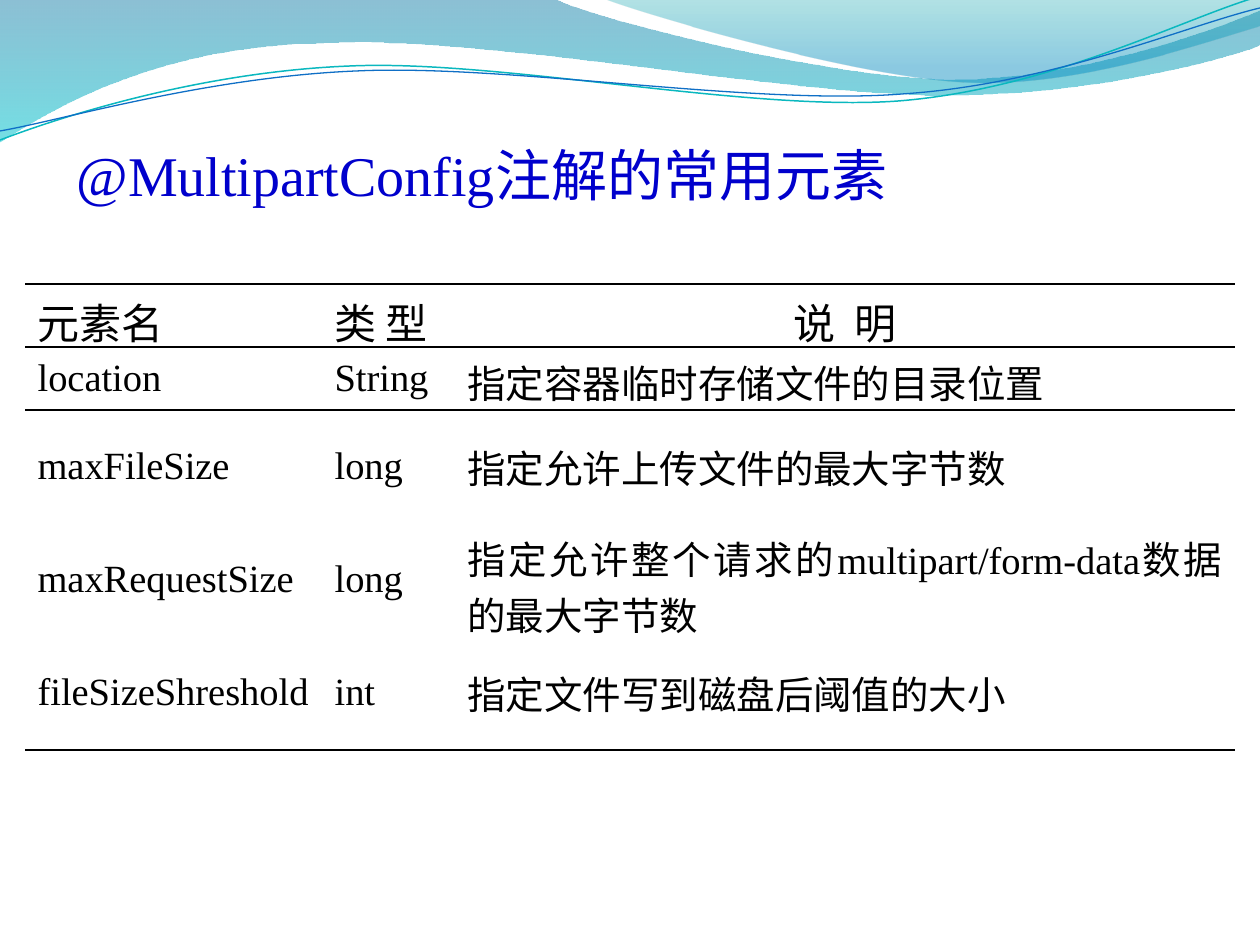
from dataclasses import dataclass

from lxml.etree import SubElement
from pptx import Presentation
from pptx.dml.color import RGBColor
from pptx.enum.text import MSO_ANCHOR as Anchor, MSO_AUTO_SIZE as AutoSize, PP_ALIGN as Align
from pptx.oxml.ns import qn
from pptx.util import Pt

PIXEL = 914400 / 126
PLAIN_TABLE = "{2D5ABB26-0587-4C30-8999-92F81FD0307C}"


@dataclass(frozen=True)
class Theme:
    """Colours, fonts and type sizes of the slide."""
    title: str = "0000CC"
    ink: str = "000000"
    latin: str = "Times New Roman"
    title_asian: str = "Courier New"
    title_size: int = 32
    title_leading: float = 38.5
    header_size: int = 24
    body_size: int = 22
    rule: float = 1
    band: tuple = ((0, "0074A1", 45), (100, "00C6CF", 55))
    crest: tuple = ((0, "00A1A9", 30), (80, "008BBF", 45))
    teal_line: tuple = ("0AB8BF", 0.85)
    blue_line: tuple = ("0F6FC6", 0.75)


THEME = Theme()
PAGE = (0, 0, 1260, 945)
TITLE_BOX = (64, 134, 844, 81)
TABLE_BOX = (25, 284, 1210, 466)
COLUMNS = (297, 133, 780)
ROWS = (63, 63, 113, 113, 114)
BOTTOM_MARGINS = (-6, 0, 6, -7, 6)

BAND = [
    (0, 0), (554, -1), (600, 21, 837, 79, 955, 79), (1075, 79, 1207, 33, 1260, 11),
    (1261, 45), (1239, 55, 1096, 96, 940, 95), (784, 95, 481, 35, 324, 43),
    (163, 45, 58, 105, -1, 142),
]
CREST = [
    (604, -1), (641, 14, 859, 78, 969, 82), (1079, 87, 1211, 40, 1260, 26), (1260, 0),
]
TEAL_WAVE = [
    (0, 140), (60, 117, 199, 72, 349, 66), (498, 59, 747, 112, 898, 101),
    (1050, 89, 1182, 19, 1257, -3),
]
BLUE_WAVE = [
    (0, 131), (59, 121, 207, 77, 357, 71), (508, 64, 752, 106, 903, 94),
    (1053, 84, 1185, 26, 1260, 8),
]
ELEMENTS = [
    ("元素名", "类 型", "说  明"),
    ("location", "String", "指定容器临时存储文件的目录位置"),
    ("maxFileSize", "long", "指定允许上传文件的最大字节数"),
    ("maxRequestSize", "long", "指定允许整个请求的multipart/form-data数据的最大字节数"),
    ("fileSizeShreshold", "int", "指定文件写到磁盘后阈值的大小"),
]


def emu(pixels):
    """Turn pixels into EMU."""
    return round(pixels * PIXEL)


def apply(target, values):
    """Set every named attribute on the target."""
    for name, value in values.items():
        setattr(target, name, value)


def place(shape, box):
    """Move and size a shape to a pixel box."""
    apply(shape, dict(zip(("left", "top", "width", "height"), map(emu, box))))


def style_run(run, size, color):
    """Give a run its font, size and colour."""
    apply(run.font, {"name": THEME.latin, "size": Pt(size)})
    run.font.color.rgb = RGBColor.from_string(color)


def add_outline(slide, box, steps, close):
    """Add a freeform of lines and cubic curves relative to the box."""
    anchors = [(emu(box[0] + step[-2]), emu(box[1] + step[-1])) for step in steps]
    builder = slide.shapes.build_freeform(*anchors[0], scale=1.0)
    builder.add_line_segments(anchors[1:], close=close)
    shape = builder.convert_to_shape()
    shape.shadow.inherit = False
    segments = list(shape._element.iter(qn("a:lnTo")))
    for segment, step in zip(segments, steps[1:]):
        if len(step) == 6:
            segment.tag = qn("a:cubicBezTo")
            end = segment[0]
            for x, y in (step[:2], step[2:4]):
                SubElement(segment, qn("a:pt"), x=str(emu(box[0] + x) - shape.left),
                           y=str(emu(box[1] + y) - shape.top))
            segment.append(end)
    return shape


def fill_gradient(shape, stops):
    """Fill a shape with a translucent downward gradient."""
    shape.line.fill.background()
    shape.fill.gradient()
    gradient = shape._element.spPr.find(qn("a:gradFill"))
    for child in list(gradient):
        gradient.remove(child)
    stop_list = SubElement(gradient, qn("a:gsLst"))
    for position, color, opacity in stops:
        stop = SubElement(stop_list, qn("a:gs"), pos=str(position * 1000))
        tone = SubElement(stop, qn("a:srgbClr"), val=color)
        SubElement(tone, qn("a:alpha"), val=str(opacity * 1000))
    SubElement(gradient, qn("a:lin"), ang="5400000", scaled="0")


def add_waves(slide, box):
    """Draw the wave decoration across the top of the box."""
    for steps, stops in ((BAND, THEME.band), (CREST, THEME.crest)):
        fill_gradient(add_outline(slide, box, steps, True), stops)
    for steps, (color, width) in ((TEAL_WAVE, THEME.teal_line), (BLUE_WAVE, THEME.blue_line)):
        wave = add_outline(slide, box, steps, False)
        wave.fill.background()
        wave.line.color.rgb = RGBColor.from_string(color)
        wave.line.width = Pt(width)


def fill_title(slide, box):
    """Place and format the title."""
    title = slide.shapes.title
    place(title, box)
    apply(title.text_frame, {
        "word_wrap": True, "auto_size": AutoSize.NONE, "vertical_anchor": Anchor.MIDDLE,
    })
    paragraph = title.text_frame.paragraphs[0]
    apply(paragraph, {"alignment": Align.LEFT, "line_spacing": Pt(THEME.title_leading)})
    for text in ("@MultipartConfig", "注解的常用元素"):
        run = paragraph.add_run()
        run.text = text
        style_run(run, THEME.title_size, THEME.title)
    run.font.name = THEME.title_asian


def add_rule(cell, side):
    """Draw a border on one side of a cell."""
    properties = cell._tc.get_or_add_tcPr()
    line = SubElement(properties, qn(f"a:ln{side}"), w=str(Pt(THEME.rule)))
    SubElement(SubElement(line, qn("a:solidFill")), qn("a:srgbClr"), val=THEME.ink)


def add_elements_table(slide, box):
    """Add the ruled table of annotation elements."""
    frame = slide.shapes.add_table(len(ROWS), len(COLUMNS), *map(emu, box))
    table = frame.table
    apply(table, {"first_row": False, "horz_banding": False})
    next(table._tbl.iter(qn("a:tableStyleId"))).text = PLAIN_TABLE
    for column, width in zip(table.columns, COLUMNS):
        column.width = emu(width)
    sides = {0: "TB", 1: "T", len(ROWS) - 1: "B"}
    for row_index, (row, height, texts) in enumerate(zip(table.rows, ROWS, ELEMENTS)):
        row.height = emu(height)
        header = row_index == 0
        for column_index, (cell, text) in enumerate(zip(row.cells, texts)):
            last = column_index == len(COLUMNS) - 1
            for side in sides.get(row_index, ""):
                add_rule(cell, side)
            cell.fill.background()
            cell.vertical_anchor = Anchor.MIDDLE
            if header or last:
                cell.margin_bottom = emu(BOTTOM_MARGINS[row_index])
            paragraph = cell.text_frame.paragraphs[0]
            paragraph.alignment = Align.CENTER if header and last else Align.JUSTIFY
            run = paragraph.add_run()
            run.text = text
            style_run(run, THEME.header_size if header else THEME.body_size, THEME.ink)


def main():
    """Build and save the presentation."""
    presentation = Presentation()
    apply(presentation, {"slide_width": emu(PAGE[2]), "slide_height": emu(PAGE[3])})
    slide = presentation.slides.add_slide(presentation.slide_layouts[5])
    add_waves(slide, PAGE)
    fill_title(slide, TITLE_BOX)
    add_elements_table(slide, TABLE_BOX)
    presentation.save("out.pptx")


main()
